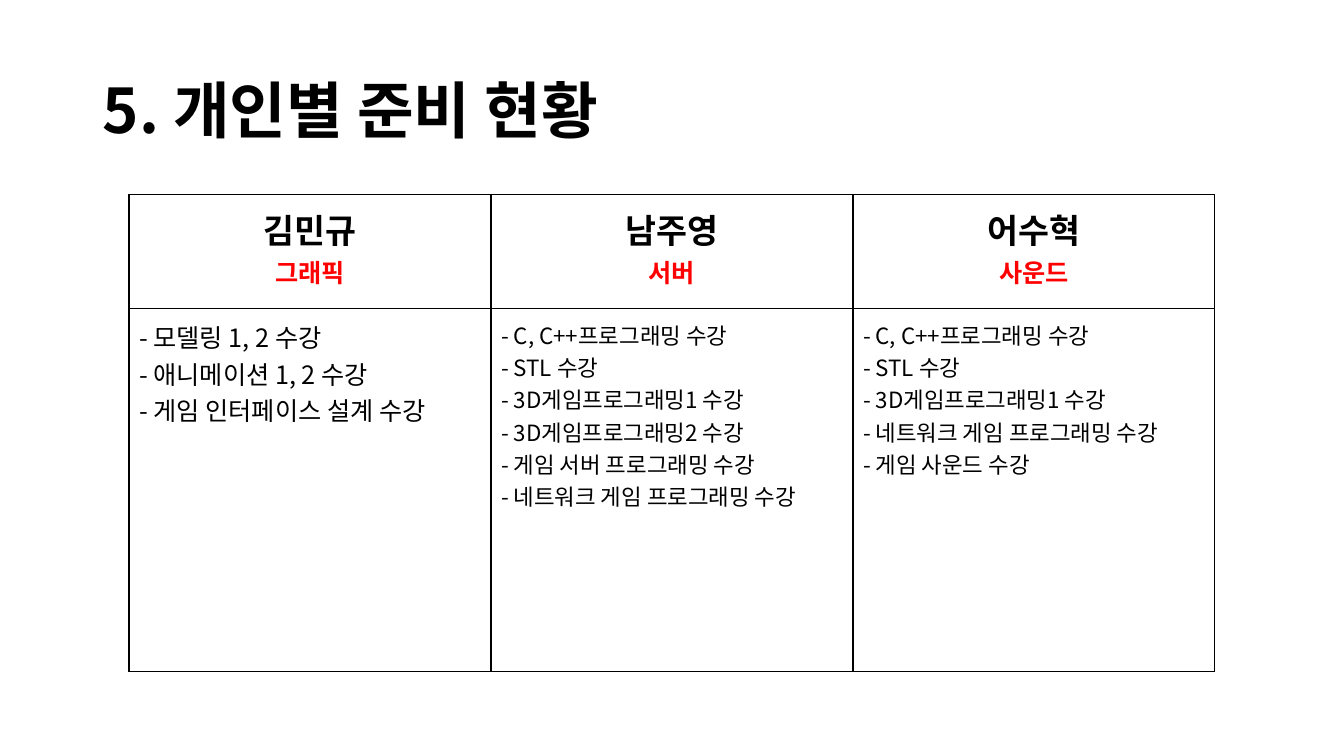
from lxml import etree
from pptx import Presentation
from pptx.dml.color import RGBColor
from pptx.enum import text as t
from pptx.oxml import ns
from pptx.util import Inches, Pt

BLACK = RGBColor(0, 0, 0)
RED = RGBColor(255, 0, 0)
WHITE = RGBColor(255, 255, 255)
FONT = "Noto Sans CJK KR"

TITLE = "5. 개인별 준비 현황"
TEAM = [
    ("김민규", "그래픽", 18, [
        "- 모델링 1, 2 수강",
        "- 애니메이션 1, 2 수강",
        "- 게임 인터페이스 설계 수강",
    ]),
    ("남주영", "서버", 16, [
        "- C, C++프로그래밍 수강",
        "- STL 수강",
        "- 3D게임프로그래밍1 수강",
        "- 3D게임프로그래밍2 수강",
        "- 게임 서버 프로그래밍 수강",
        "- 네트워크 게임 프로그래밍 수강",
    ]),
    ("어수혁", "사운드", 16, [
        "- C, C++프로그래밍 수강",
        "- STL 수강",
        "- 3D게임프로그래밍1 수강",
        "- 네트워크 게임 프로그래밍 수강",
        "- 게임 사운드 수강",
    ]),
]
WIDTH = 3.59
ROWS = [1.13, 3.6]


def write(frame, line, size=18, color=BLACK, bold=False,
          align=t.PP_ALIGN.LEFT, space=None):
    para = frame.paragraphs[0]
    if para.runs:
        para = frame.add_paragraph()
    para.alignment = align
    if space:
        para.line_spacing = space
    run = para.add_run()
    run.text = line
    font = run.font
    font.size = Pt(size)
    font.bold = bold
    font.color.rgb = color
    font.name = FONT
    east = etree.SubElement(run._r.get_or_add_rPr(), ns.qn("a:ea"))
    east.set("typeface", FONT)


def frame_cell(cell):
    cell.margin_left = cell.margin_right = Inches(0.1)
    cell.margin_top = cell.margin_bottom = Inches(0.1)
    props = cell._tc.get_or_add_tcPr()
    for side in ("lnL", "lnR", "lnT", "lnB"):
        line = etree.SubElement(props, ns.qn("a:" + side), w=str(Pt(1)))
        fill = etree.SubElement(line, ns.qn("a:solidFill"))
        etree.SubElement(fill, ns.qn("a:srgbClr"), val=str(BLACK))
    cell.fill.solid()
    cell.fill.fore_color.rgb = WHITE


def main():
    deck = Presentation()
    deck.slide_width = Inches(13.33)
    deck.slide_height = Inches(7.5)
    slide = deck.slides.add_slide(deck.slide_layouts[5])

    title = slide.shapes.title
    title.left, title.top = Inches(0.92), Inches(0.4)
    title.width, title.height = Inches(11.5), Inches(1.45)
    title.text_frame.vertical_anchor = t.MSO_ANCHOR.MIDDLE
    write(title.text_frame, TITLE, size=44, bold=True, space=0.9)

    table = slide.shapes.add_table(
        len(ROWS), len(TEAM), Inches(1.28), Inches(1.93),
        Inches(WIDTH * len(TEAM)), Inches(sum(ROWS))).table
    table.first_row = table.horz_banding = False
    for row, height in zip(table.rows, ROWS):
        row.height = Inches(height)

    for col, (name, role, size, tasks) in enumerate(TEAM):
        table.columns[col].width = Inches(WIDTH)
        head, body = table.cell(0, col), table.cell(1, col)
        frame_cell(head)
        frame_cell(body)
        mid = t.PP_ALIGN.CENTER
        write(head.text_frame, name, size=24, bold=True, align=mid)
        write(head.text_frame, role, color=RED, bold=True, align=mid)
        for task in tasks:
            write(body.text_frame, task, size=size)

    deck.save("out.pptx")


if __name__ == "__main__":
    main()
